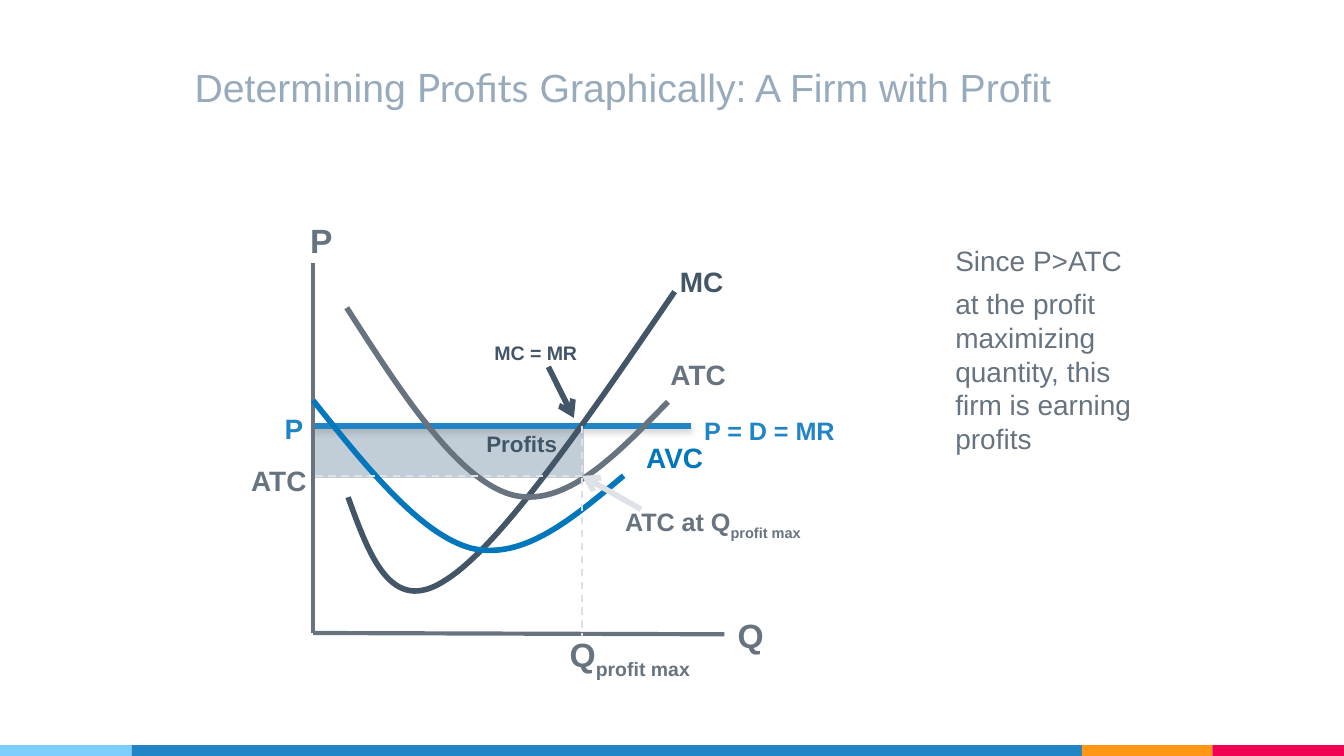
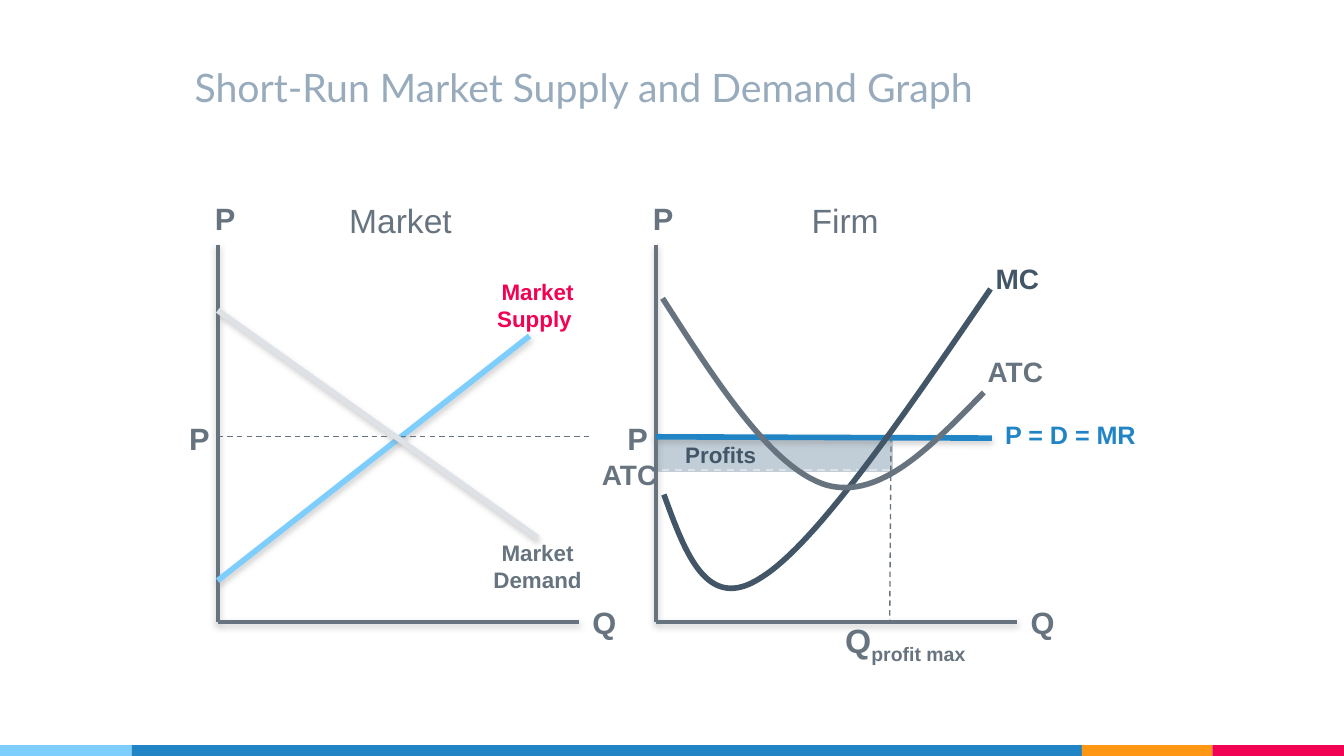
from pptx import Presentation
from pptx.dml.color import RGBColor
from pptx.enum.dml import MSO_LINE as Dash
from pptx.enum.shapes import MSO_CONNECTOR as Link, MSO_SHAPE as Kind
from pptx.enum.text import MSO_ANCHOR as Anchor, PP_ALIGN as Align
from pptx.oxml.ns import qn
from pptx.util import Inches, Pt
from lxml.etree import SubElement

INK = {"sky": "7ECEFD", "blue": "2185C5", "orange": "FF9715", "red": "F20253",
       "title": "97ABBC", "area": "C1CDD7", "gray": "677480", "navy": "425667",
       "azure": "0377BB", "pale": "DEE2E6"}

# The grid has 10 columns across the slide; rows are as tall as columns are wide.
COLS, ROWS = 10, 5.625
CELL = Inches(10) / COLS
FONT = "Arial"
BANDS = [("sky", 0.98), ("blue", 7.07), ("orange", 0.97), ("red", 0.98)]
BAND_H = 0.08

# Cost curves: a start, then two Bezier segments of three points each.
MC = [(2.59, 3.7), (2.75, 4.14), (2.91, 4.58), (3.31, 4.32),
      (3.72, 4.07), (4.37, 3.12), (5.02, 2.17)]
ATC = [(2.58, 2.29), (2.99, 2.93), (3.4, 3.56), (3.8, 3.68),
       (4.2, 3.79), (4.58, 3.39), (4.97, 2.99)]
AVC = [(2.33, 2.98), (2.73, 3.48), (3.13, 3.98), (3.51, 4.08),
       (3.9, 4.17), (4.27, 3.85), (4.64, 3.54)]

# Labels: text, subscript, (left, top, width, height), size, colour, options.
TIGHT = {"lead": 12}
MID = {"align": Align.CENTER}
Q_MAX = "profit max"

ONE = {
    "title": [("Determining ", FONT), ("Profits", "Lato"),
              (" Graphically: A Firm with Profit", FONT)],
    "area": (2.33, 3.17, 2, 0.37),
    "base": [((2.33, 3.17), (5.14, 3.17), "blue", 3, {"shade": True}),
             ((2.33, 1.96), (2.33, 4.71), "gray", 2.25, {}),
             ((2.33, 4.71), (5.39, 4.72), "gray", 2.25, {})],
    "curves": [(MC, 0, 0, "navy"), (ATC, 0, 0, "gray"), (AVC, 0, 0, "azure")],
    "marks": [((4.08, 2.73), (4.27, 3.11), "navy", 3, {"head": True}),
              ((4.33, 3.17), (4.33, 4.73), "pale", 1, {"dash": True}),
              ((4.77, 3.79), (4.33, 3.54), "pale", 3, {"head": True}),
              ((4.33, 3.54), (2.33, 3.54), "pale", 1, {"dash": True})],
    "labels": [
        ("AVC", "", (4.71, 3.23, 0.74, 0.35), 15, "azure", {}),
        ("MC", "", (4.96, 1.92, 0.62, 0.35), 15, "navy", {}),
        ("Q", "", (5.39, 4.53, 0.44, 0.4), 18, "gray", {}),
        ("P", "", (2.21, 1.72, 0.56, 0.27), 18, "gray", TIGHT),
        ("ATC", "", (4.89, 2.61, 0.89, 0.35), 15, "gray", {}),
        ("P = D = MR", "", (5.14, 3.04, 1.19, 0.33), 13.5, "blue", {}),
        ("MC = MR", "", (3.58, 2.49, 1.19, 0.28), 10.5, "navy", {}),
        ("Q", Q_MAX, (4.14, 4.67, 1.19, 0.71), 18, "gray", {}),
        ("ATC at Q", Q_MAX, (4.46, 3.79, 1.69, 0.3), 13.5, "gray",
         {"lead": 13.5, **MID}),
        ("P", "", (2.02, 3.1, 0.56, 0.27), 15, "blue", TIGHT),
        ("ATC", "", (1.77, 3.48, 0.75, 0.27), 15, "gray", TIGHT),
        ("Profits", "", (3.52, 3.15, 1.06, 0.3), 12, "navy", {}),
        ("Since P>ATC \nat the profit maximizing quantity, this\n"
         "firm is earning profits", "", (7.01, 1.76, 1.75, 1.69), 15, "gray",
         {"bold": False, "gap": 5.4}),
    ],
}

LEFT = (1.62, 4.88)     # the vertical axes of market and firm
TOP, PRICE, BASE = 1.82, 3.25, 4.63

TWO = {
    "title": [("Short-Run Market Supply and Demand Graph", "Lato")],
    "area": (4.88, PRICE, 1.75, 0.25),
    "base": [((6.62, 3.5), (4.88, 3.5), "pale", 1, {"dash": True})]
    + [line for x in LEFT for line in (
        ((x, TOP), (x, BASE), "gray", 2, {"shade": True}),
        ((x, BASE), (x + 2.69, BASE), "gray", 2, {"shade": True}))]
    + [((1.62, 4.32), (3.94, 2.5), "sky", 3, {"shade": True}),
       ((1.62, PRICE), (4.38, PRICE), "gray", 0.75, {"dash": True}),
       ((1.62, 2.31), (4, 4), "pale", 3, {"shade": True}),
       ((4.88, PRICE), (7.38, 3.26), "blue", 3, {"shade": True}),
       ((6.63, PRICE), (6.62, BASE), "gray", 0.75, {"dash": True})],
    "curves": [(MC, 2.35, -0.02, "navy"), (ATC, 2.35, -0.07, "gray")],
    "marks": [],
    "labels": [label for x in LEFT for label in (
        ("P", "", (x - 0.12, 1.44, 0.62, 0.38), 16.5, "gray", {}),
        ("Q", "", (x + 2.69, 4.44, 0.44, 0.38), 16.5, "gray", {}),
        ("P", "", (x - 0.31, 3.07, 0.44, 0.38), 16.5, "gray", {}))]
    + [("ATC", "", (4.38, 3.44, 0.75, 0.27), 15, "gray", TIGHT),
       ("Profits", "", (5, 3.23, 1.06, 0.3), 12, "navy", {}),
       ("Market Supply ", "", (3.56, 2.02, 0.88, 0.5), 12, "red", MID),
       ("Market Demand", "", (3.56, 3.96, 0.88, 0.5), 12, "gray", MID),
       ("P = D = MR", "", (7.38, 3.07, 1.19, 0.33), 13.5, "blue", {}),
       ("MC", "", (7.31, 1.9, 0.62, 0.35), 15, "navy", {}),
       ("ATC", "", (7.25, 2.59, 1.04, 0.35), 15, "gray", {}),
       ("Q", Q_MAX, (6.19, 4.56, 1.19, 0.71), 18, "gray", {}),
       ("Market", "", (2.5, 1.44, 1.19, 0.4), 18, "gray", {"bold": False}),
       ("Firm", "", (5.94, 1.44, 0.81, 0.4), 18, "gray", {"bold": False})],
}


def grid(*cells):
    """Turn grid cells into slide units."""
    return [round(c * CELL) for c in cells]


def rgb(name):
    """Look up a colour."""
    return RGBColor.from_string(INK[name])


def rect(slide, box, ink, edge=0):
    """Draw a flat rectangle."""
    shape = slide.shapes.add_shape(Kind.RECTANGLE, *grid(*box))
    shape.shadow.inherit = False
    shape.fill.solid()
    shape.fill.fore_color.rgb = rgb(ink)
    if edge:
        shape.line.color.rgb = rgb(ink)
        shape.line.width = Pt(edge)
    else:
        shape.line.fill.background()


def line(slide, start, end, ink, width, dash=False, head=False, shade=False):
    """Draw a straight line, maybe dashed, with an arrowhead or a shadow."""
    link = slide.shapes.add_connector(Link.STRAIGHT, *grid(*start, *end))
    link.line.color.rgb = rgb(ink)
    link.line.width = Pt(width)
    if dash:
        link.line.dash_style = Dash.DASH
    props = link._element.spPr
    if head:
        SubElement(props.find(qn("a:ln")), qn("a:tailEnd"), type="arrow")
    fx = SubElement(props, qn("a:effectLst"))
    if shade:
        cast = SubElement(fx, qn("a:outerShdw"), blurRad="40000", dist="20000",
                          dir="5400000", rotWithShape="0")
        tone = SubElement(cast, qn("a:srgbClr"), val="808080")
        SubElement(tone, qn("a:alpha"), val="38000")


def curve(slide, points, dx, dy, ink):
    """Draw a smooth open curve, moved by dx and dy."""
    spots = [grid(x + dx, y + dy) for x, y in points]
    pen = slide.shapes.build_freeform(*spots[0])
    pen.add_line_segments(spots[1:], close=False)
    shape = pen.convert_to_shape()
    shape.shadow.inherit = False
    shape.fill.background()
    shape.line.color.rgb = rgb(ink)
    shape.line.width = Pt(3)
    # Join every three straight steps into one Bezier segment.
    track = next(shape._element.iter(qn("a:path")))
    steps = track.findall(qn("a:lnTo"))
    for i in range(0, len(steps), 3):
        bend = SubElement(track, qn("a:cubicBezTo"))
        for step in steps[i:i + 3]:
            bend.append(step[0])
            track.remove(step)


def style(run, size, ink, face=FONT, bold=False):
    """Set the font of a run."""
    run.font.name, run.font.size, run.font.bold = face, Pt(size), bold
    run.font.color.rgb = rgb(ink)


def frame(slide, box):
    """Add a wrapping text box and return its frame."""
    text = slide.shapes.add_textbox(*grid(*box)).text_frame
    text.word_wrap = True
    return text


def label(slide, words, sub, box, size, ink, opts):
    """Write a label with an optional subscript."""
    text = frame(slide, box)
    text.text = words
    for para in text.paragraphs:
        para.alignment = opts.get("align", Align.LEFT)
        if "lead" in opts:
            para.line_spacing = Pt(opts["lead"])
    if "gap" in opts:
        text.paragraphs[1].space_before = Pt(opts["gap"])
    if sub:
        low = text.paragraphs[0].add_run()
        low.text = sub
        low.font._element.set("baseline", "-25000")
    for para in text.paragraphs:
        for run in para.runs:
            style(run, size, ink, bold=opts.get("bold", True))


def title(slide, parts):
    """Write the slide title."""
    text = frame(slide, (1.35, 0.32, 7.4, 0.6))
    text.vertical_anchor = Anchor.BOTTOM
    text.margin_top = text.margin_bottom = Inches(0.1)
    for words, face in parts:
        run = text.paragraphs[0].add_run()
        run.text = words
        style(run, 21, "title", face)


def bands(slide):
    """Draw the colour strip along the bottom edge."""
    left = 0
    for ink, width in BANDS:
        rect(slide, (left, ROWS - BAND_H, width, BAND_H), ink)
        left += width


def build(deck, page):
    """Add one slide, from back to front."""
    slide = deck.slides.add_slide(deck.slide_layouts[6])
    bands(slide)
    title(slide, page["title"])
    rect(slide, page["area"], "area", 2)
    for *spec, opts in page["base"]:
        line(slide, *spec, **opts)
    for item in page["curves"]:
        curve(slide, *item)
    for *spec, opts in page["marks"]:
        line(slide, *spec, **opts)
    for item in page["labels"]:
        label(slide, *item)


deck = Presentation()
deck.slide_width, deck.slide_height = grid(COLS, ROWS)
for page in (ONE, TWO):
    build(deck, page)
deck.save("out.pptx")
